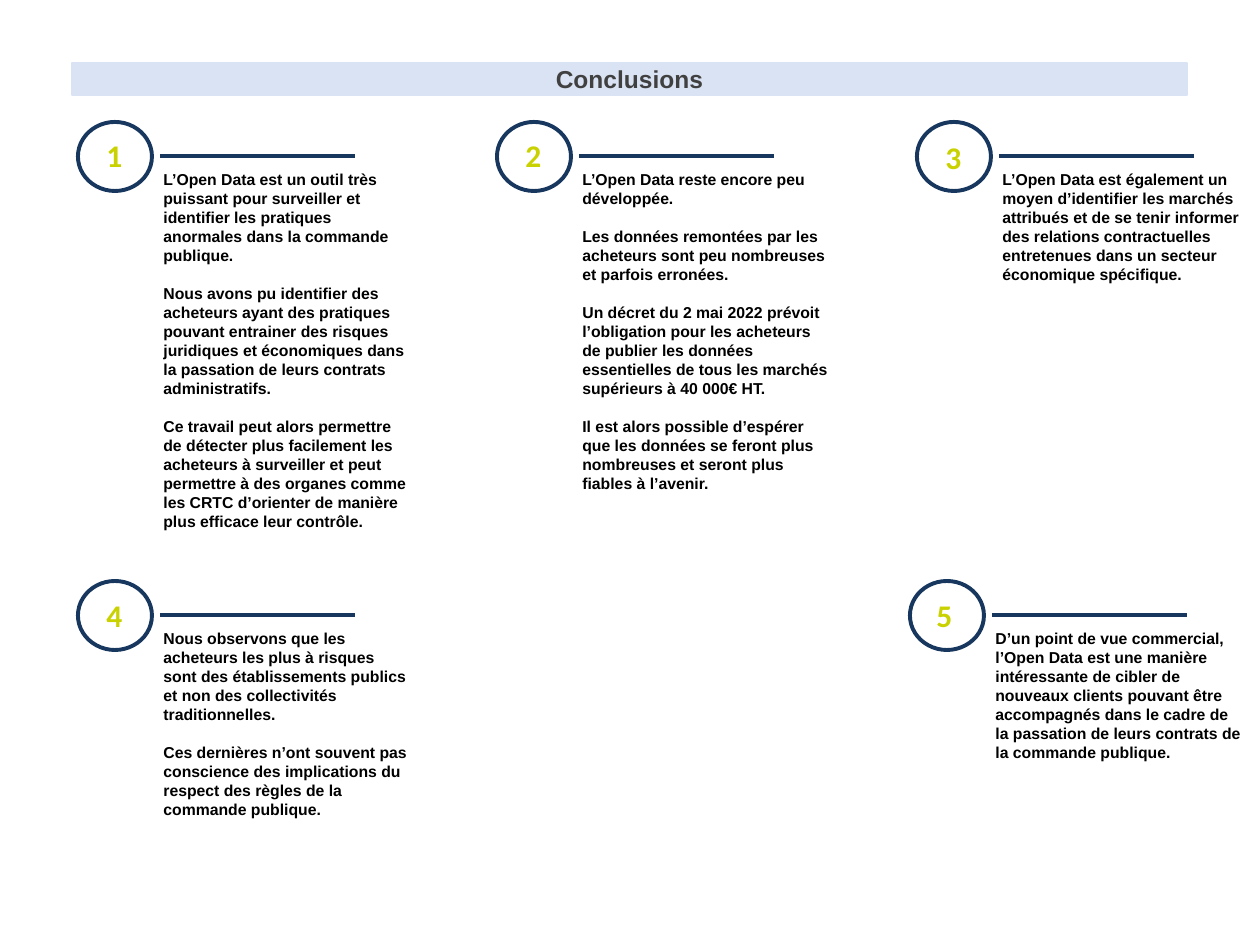
from pptx import Presentation
from pptx.dml.color import RGBColor
from pptx.enum.shapes import MSO_CONNECTOR as Connector, MSO_SHAPE as Shape
from pptx.enum.text import MSO_ANCHOR as Anchor, MSO_AUTO_SIZE as AutoSize, PP_ALIGN as Align
from pptx.oxml.ns import qn
from pptx.util import Emu, Pt
from lxml.etree import SubElement

EMU_PER_PX = 914400 // 126
NAVY, LIME, BAND, GREY, BLACK = "17375E", "C9D200", "DAE3F3", "404040", "000000"


def px(length):
    return Emu(length * EMU_PER_PX)


def color(value):
    return RGBColor.from_string(value)


def write(frame, *texts, size, ink, font="Arial", align=Align.LEFT, gap=0):
    for index, text in enumerate(texts):
        paragraph = frame.add_paragraph() if index else frame.paragraphs[0]
        paragraph.text = text
        paragraph.alignment = align
        if index:
            paragraph.space_before = Pt(gap)
        paragraph.font.size = Pt(size)
        paragraph.font.name = font
        paragraph.font.bold = True
        paragraph.font.color.rgb = color(ink)


class ConclusionSlide:
    """Style and drawing methods for a slide of numbered conclusions."""

    def __init__(self, slide):
        self.shapes = slide.shapes

    def outlined(self, kind, left, top, width, height, line, weight, fill=None):
        shape = self.shapes.add_shape(kind, px(left), px(top), px(width), px(height))
        shape.shadow.inherit = False
        shape.line.color.rgb = color(line)
        shape.line.width = Pt(weight)
        if fill:
            shape.fill.solid()
            shape.fill.fore_color.rgb = color(fill)
        else:
            shape.fill.background()
        return shape

    def title(self, text):
        shape = self.outlined(Shape.RECTANGLE, 72, 63, 1115, 32, BAND, 1, BAND)
        shape.text_frame.vertical_anchor = Anchor.MIDDLE
        write(shape.text_frame, text, size=14, ink=GREY, align=Align.CENTER)

    def rule(self, left, top, width):
        line = self.shapes.add_connector(
            Connector.STRAIGHT, px(left), px(top), px(left + width), px(top))
        line.line.color.rgb = color(NAVY)
        line.line.width = Pt(2.25)
        SubElement(line._element.spPr, qn("a:effectLst"))

    def text(self, left, top, width, height, *texts, wrap=True, **style):
        frame = self.shapes.add_textbox(px(left), px(top), px(width), px(height)).text_frame
        frame.word_wrap = wrap
        frame.auto_size = AutoSize.SHAPE_TO_FIT_TEXT
        write(frame, *texts, **style)

    def conclusion(self, number, left, top, number_at, height, texts):
        self.outlined(Shape.OVAL, left, top, 74, 69, NAVY, 2.25)
        self.rule(left + 82, top + 34, 195)
        self.text(left + 73, top + 42, 272, height, *texts, size=9, ink=BLACK, gap=10.85)
        across, down = number_at
        self.text(left + across, top + down, 42, 50, str(number), wrap=False,
                  size=18, ink=LIME, font="Calibri")


UPPER, LOWER = 122, 581
CONCLUSIONS = [
    (78, UPPER, (16, 8), 375, [
        "L’Open Data est un outil très puissant pour surveiller et identifier les pratiques "
        "anormales dans la commande publique.",
        "Nous avons pu identifier des acheteurs ayant des pratiques pouvant entrainer des risques "
        "juridiques et économiques dans la passation de leurs contrats administratifs.",
        "Ce travail peut alors permettre de détecter plus facilement les acheteurs à surveiller et "
        "peut permettre à des organes comme les CRTC d’orienter de manière plus efficace leur "
        "contrôle."]),
    (497, UPPER, (16, 8), 338, [
        "L’Open Data reste encore peu développée.",
        "Les données remontées par les acheteurs sont peu nombreuses et parfois erronées.",
        "Un décret du 2 mai 2022 prévoit l’obligation pour les acheteurs de publier les données "
        "essentielles de tous les marchés supérieurs à 40 000€ HT.",
        "Il est alors possible d’espérer que les données se feront plus nombreuses et seront plus "
        "fiables à l’avenir."]),
    (917, UPPER, (16, 10), 127, [
        "L’Open Data est également un moyen d’identifier les marchés attribués et de se tenir "
        "informer des relations contractuelles entretenues dans un secteur économique spécifique."]),
    (78, LOWER, (16, 9), 204, [
        "Nous observons que les acheteurs les plus à risques sont des établissements publics et "
        "non des collectivités traditionnelles.",
        "Ces dernières n’ont souvent pas conscience des implications du respect des règles de la "
        "commande publique."]),
    (910, LOWER, (14, 9), 146, [
        "D’un point de vue commercial, l’Open Data est une manière intéressante de cibler de "
        "nouveaux clients pouvant être accompagnés dans le cadre de la passation de leurs contrats "
        "de la commande publique."]),
]


def main():
    presentation = Presentation()
    presentation.slide_width, presentation.slide_height = px(1260), px(945)
    page = ConclusionSlide(presentation.slides.add_slide(presentation.slide_layouts[6]))
    page.title("Conclusions")
    for number, conclusion in enumerate(CONCLUSIONS, 1):
        page.conclusion(number, *conclusion)
    presentation.save("out.pptx")


if __name__ == "__main__":
    main()
